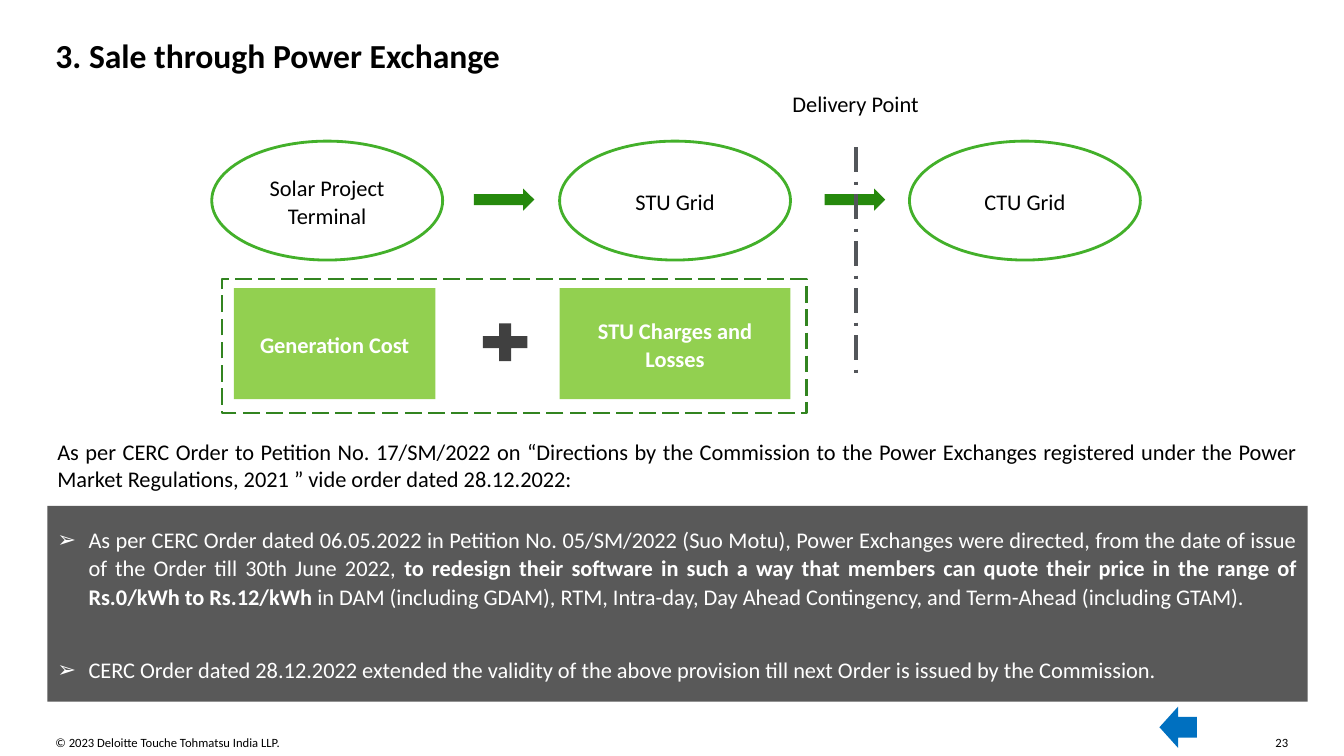
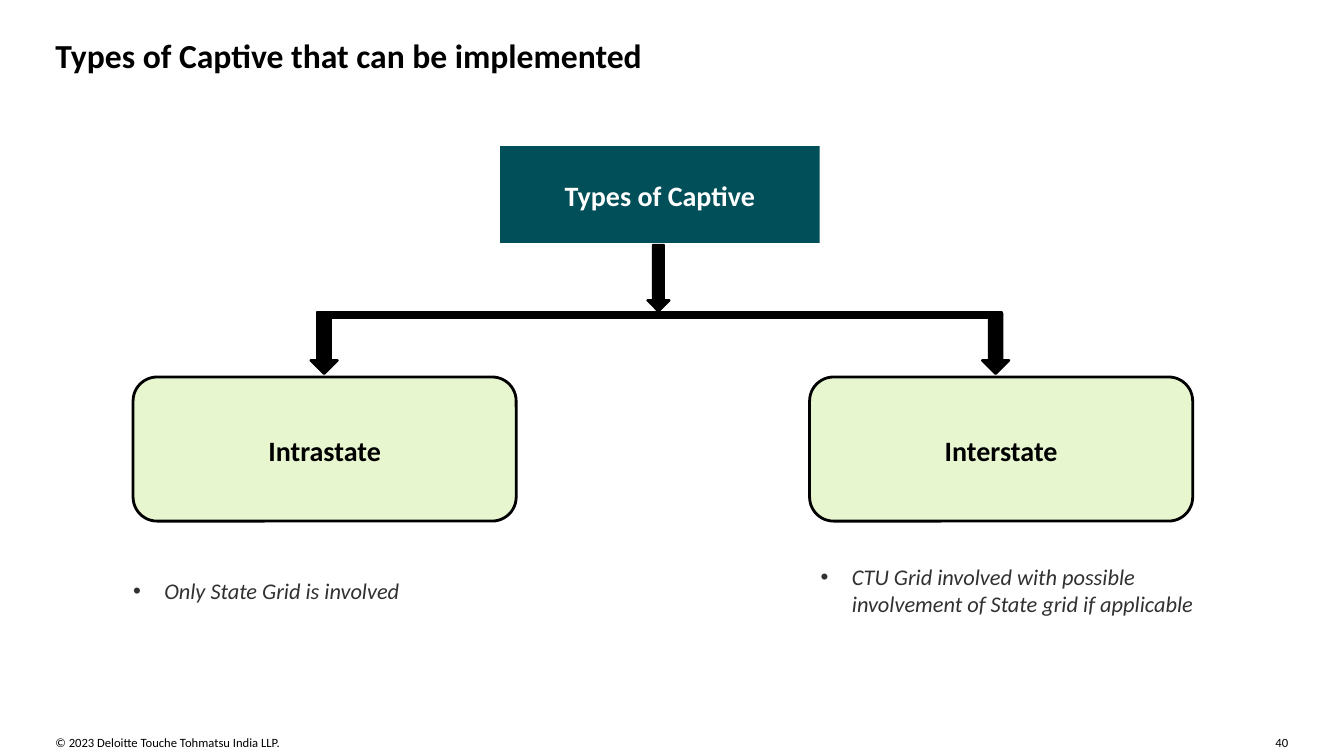
from dataclasses import dataclass
from typing import Optional

from lxml import etree
from pptx import Presentation, util as u
from pptx.dml.color import RGBColor
from pptx.enum import dml, shapes, text
from pptx.oxml.ns import qn
from pptx.shapes.autoshape import Shape
from pptx.slide import Slide

PX = 9144
FONT = "Calibri"
BLACK = RGBColor(0x00, 0x00, 0x00)
WHITE = RGBColor(0xFF, 0xFF, 0xFF)
CHARCOAL = RGBColor(0x31, 0x31, 0x31)
DARK_GREY = RGBColor(0x40, 0x40, 0x40)
LINE_GREY = RGBColor(0x53, 0x56, 0x5A)
PANEL_GREY = RGBColor(0x59, 0x59, 0x59)
OUTLINE_GREEN = RGBColor(0x43, 0xB0, 0x2A)
ARROW_GREEN = RGBColor(0x26, 0x89, 0x0D)
FRAME_GREEN = RGBColor(0x32, 0x84, 0x20)
COST_GREEN = RGBColor(0x92, 0xD0, 0x50)
PALE_GREEN = RGBColor(0xE8, 0xF6, 0xCF)
TEAL = RGBColor(0x00, 0x4F, 0x59)
BACK_BLUE = RGBColor(0x00, 0x70, 0xC0)

KIND = shapes.MSO_SHAPE
ALIGN = text.PP_ALIGN
MARGIN = 55
BULLET_INDENT = 31
COPYRIGHT = "© 2023 Deloitte Touche Tohmatsu India LLP."


@dataclass(frozen=True)
class Box:
    left: int
    top: int
    width: int
    height: int

    def emu(self) -> list[int]:
        return [side * PX for side in (self.left, self.top, self.width, self.height)]


@dataclass(frozen=True)
class Run:
    words: str
    bold: bool = False
    italic: bool = False


@dataclass(frozen=True)
class Style:
    size: int = 16
    color: RGBColor = BLACK
    align: ALIGN = ALIGN.LEFT
    spacing: Optional[float] = None
    bullet: str = ""


@dataclass(frozen=True)
class Outline:
    color: RGBColor
    width: float
    dash: Optional[dml.MSO_LINE] = None


@dataclass(frozen=True)
class Branch:
    name: str
    left: int
    arrow_left: int
    note: str
    note_box: Box


LABEL = Style(align=ALIGN.CENTER, spacing=1.06)
COST_LABEL = Style(color=WHITE, align=ALIGN.CENTER, spacing=1.06)
BLACK_EDGE = Outline(BLACK, 1.5)

NODES = (("Solar Project Terminal", 210), ("STU Grid", 555), ("CTU Grid", 902))
COSTS = (
    ("Generation Cost", Box(232, 286, 200, 110)),
    ("STU Charges and Losses", Box(555, 286, 229, 110)),
)
BRANCHES = (
    Branch("Intrastate", 132, 308, "Only State Grid is involved", Box(132, 573, 380, 27)),
    Branch("Interstate", 803, 974,
           "CTU Grid involved with possible involvement of State grid if applicable",
           Box(814, 559, 380, 54)),
)


def write_paragraph(shape: Shape, runs: list[Run], style: Style, after: int = 0,
                    first: bool = True) -> None:
    frame = shape.text_frame
    paragraph = frame.paragraphs[0] if first else frame.add_paragraph()
    paragraph.alignment = style.align
    if style.bullet:
        properties = paragraph._p.get_or_add_pPr()
        properties.set("marL", str(BULLET_INDENT * PX))
        properties.set("indent", str(-BULLET_INDENT * PX))
        etree.SubElement(properties, qn("a:buFont")).set("typeface", "Arial")
        etree.SubElement(properties, qn("a:buChar")).set("char", style.bullet)
    if style.spacing:
        paragraph.line_spacing = style.spacing
    if after:
        paragraph.space_after = u.Pt(after)
    for piece in runs:
        run = paragraph.add_run()
        run.text = piece.words
        run.font.name = FONT
        run.font.size = u.Pt(style.size)
        run.font.color.rgb = style.color
        run.font.bold = piece.bold
        run.font.italic = piece.italic


def set_insets(shape: Shape, horizontal: int, vertical: int) -> None:
    frame = shape.text_frame
    frame.word_wrap = True
    frame.margin_left = frame.margin_right = horizontal * PX
    frame.margin_top = frame.margin_bottom = vertical * PX


def add_text(slide: Slide, box: Box, run: Run, style: Style,
             insets: tuple[int, int] = (0, 0)) -> None:
    shape = slide.shapes.add_textbox(*box.emu())
    set_insets(shape, *insets)
    write_paragraph(shape, [run], style)


def add_box(slide: Slide, kind: KIND, box: Box, fill: Optional[RGBColor] = None,
            outline: Optional[Outline] = None) -> Shape:
    shape = slide.shapes.add_shape(kind, *box.emu())
    shape.shadow.inherit = False
    if fill is None:
        shape.fill.background()
    else:
        shape.fill.solid()
        shape.fill.fore_color.rgb = fill
    if outline is None:
        shape.line.fill.background()
    else:
        shape.line.color.rgb = outline.color
        shape.line.width = u.Pt(outline.width)
        if outline.dash is not None:
            shape.line.dash_style = outline.dash
    set_insets(shape, 10, 10)
    shape.text_frame.vertical_anchor = text.MSO_ANCHOR.MIDDLE
    return shape


def add_slide(presentation: Presentation, title: str, number: int) -> Slide:
    slide = presentation.slides.add_slide(presentation.slide_layouts[6])
    add_text(slide, Box(MARGIN, 729, 586, 15), Run(COPYRIGHT), Style(size=9))
    add_text(slide, Box(1265, 729, 20, 15), Run(str(number)), Style(size=9))
    add_text(slide, Box(MARGIN, 35, 1224, 37), Run(title, bold=True), Style(size=24))
    return slide


def add_delivery_line(slide: Slide) -> None:
    line = slide.shapes.add_connector(
        shapes.MSO_CONNECTOR.STRAIGHT, 849 * PX, 146 * PX, 849 * PX, 374 * PX)
    line.line.color.rgb = LINE_GREY
    line.line.width = u.Pt(2.25)
    line.line.dash_style = dml.MSO_LINE.LONG_DASH_DOT
    etree.SubElement(line._element.spPr, qn("a:effectLst"))


def build_exchange_slide(presentation: Presentation) -> None:
    slide = add_slide(presentation, "3. Sale through Power Exchange", 23)
    for name, left in NODES:
        node = add_box(slide, KIND.OVAL, Box(left, 140, 229, 118), WHITE,
                       Outline(OUTLINE_GREEN, 2))
        write_paragraph(node, [Run(name)], LABEL)
    for left in (470, 818):
        add_box(slide, KIND.RIGHT_ARROW, Box(left, 187, 60, 22), ARROW_GREEN)
    delivery = add_box(slide, KIND.RECTANGLE, Box(754, 77, 189, 50), WHITE)
    write_paragraph(delivery, [Run("Delivery Point")], LABEL)
    add_delivery_line(slide)

    for name, box in COSTS:
        cost = add_box(slide, KIND.RECTANGLE, box, COST_GREEN)
        write_paragraph(cost, [Run(name, bold=True)], COST_LABEL)
    add_box(slide, KIND.MATH_PLUS, Box(471, 314, 60, 51), DARK_GREY)
    add_box(slide, KIND.RECTANGLE, Box(220, 277, 580, 133),
            outline=Outline(FRAME_GREEN, 1.5, dml.MSO_LINE.LONG_DASH))

    add_text(slide, Box(47, 430, 1250, 64), Run(
        "As per CERC Order to Petition No. 17/SM/2022 on “Directions by the Commission "
        "to the Power Exchanges registered under the Power Market Regulations, 2021 ” "
        "vide order dated 28.12.2022:"), Style(align=ALIGN.JUSTIFY), (10, 5))
    panel = add_box(slide, KIND.RECTANGLE, Box(47, 502, 1250, 194), PANEL_GREY)
    bullet = Style(color=WHITE, align=ALIGN.JUSTIFY, spacing=1.06, bullet="➢")
    write_paragraph(panel, [
        Run("As per CERC Order dated 06.05.2022 in Petition No. 05/SM/2022 (Suo Motu), "
            "Power Exchanges were directed, from the date of issue of the Order till "
            "30th June 2022, "),
        Run("to redesign their software in such a way that members can quote their price "
            "in the range of Rs.0/kWh to Rs.12/kWh", bold=True),
        Run(" in DAM (including GDAM), RTM, Intra-day, Day Ahead Contingency, and "
            "Term-Ahead (including GTAM)."),
    ], bullet, after=32)
    write_paragraph(panel, [
        Run("CERC Order dated 28.12.2022 extended the validity of the above provision "
            "till next Order is issued by the Commission."),
    ], bullet, after=6, first=False)
    add_box(slide, KIND.LEFT_ARROW, Box(1150, 701, 37, 41), BACK_BLUE)


def build_captive_slide(presentation: Presentation) -> None:
    slide = add_slide(presentation, "Types of Captive that can be implemented", 40)
    add_box(slide, KIND.DOWN_ARROW, Box(642, 243, 22, 66), BLACK, BLACK_EDGE)
    add_box(slide, KIND.RECTANGLE, Box(314, 310, 680, 6), BLACK, BLACK_EDGE)
    root = add_box(slide, KIND.RECTANGLE, Box(496, 145, 317, 96), TEAL)
    write_paragraph(root, [Run("Types of Captive", bold=True)],
                    Style(20, WHITE, ALIGN.CENTER, 1.06))
    for branch in BRANCHES:
        add_box(slide, KIND.DOWN_ARROW, Box(branch.arrow_left, 311, 27, 60),
                BLACK, BLACK_EDGE)
        card = add_box(slide, KIND.ROUNDED_RECTANGLE, Box(branch.left, 374, 380, 143),
                       PALE_GREEN, Outline(BLACK, 2))
        write_paragraph(card, [Run(branch.name, bold=True)],
                        Style(20, BLACK, ALIGN.CENTER, 1.06))
        add_text(slide, branch.note_box, Run(branch.note, italic=True),
                 Style(color=CHARCOAL, bullet="•"))


def main() -> None:
    presentation = Presentation()
    presentation.slide_width = u.Emu(1333 * PX)
    presentation.slide_height = u.Emu(750 * PX)
    build_exchange_slide(presentation)
    build_captive_slide(presentation)
    presentation.save("out.pptx")


if __name__ == "__main__":
    main()
